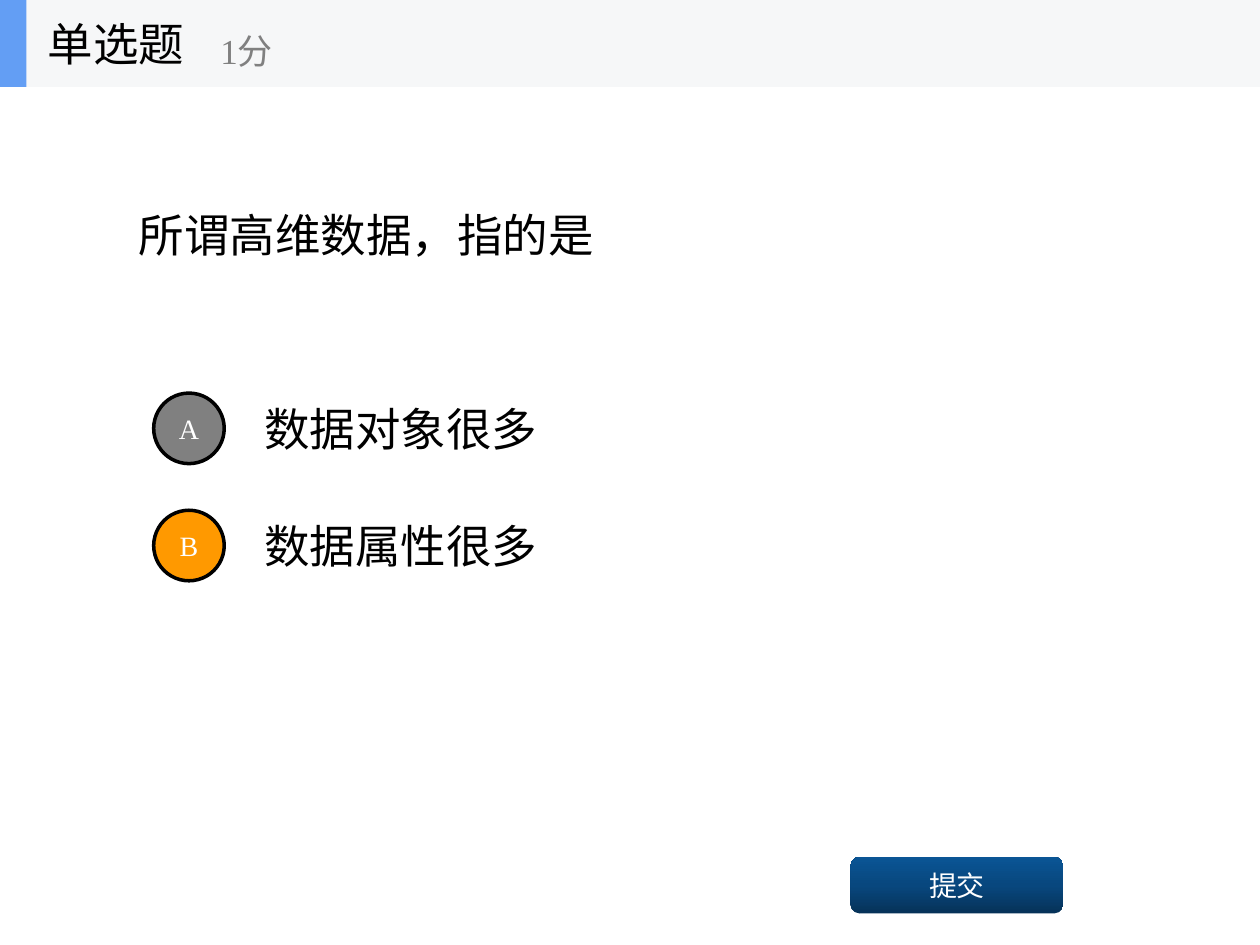
import copy

import pptx
import pptx.dml.color
import pptx.enum.lang
import pptx.enum.shapes
import pptx.enum.text
import pptx.oxml.ns
import pptx.util

Inches = pptx.util.Inches
Shape = pptx.enum.shapes.MSO_SHAPE
Align = pptx.enum.text.PP_ALIGN


def color(value):
    """Turn a hex string into an RGB colour."""
    return pptx.dml.color.RGBColor.from_string(value)


def write(shape, text, size=26, ink="000000", align=Align.LEFT, inset=0.1):
    """Put one formatted paragraph, centred vertically, into a shape."""
    frame = shape.text_frame
    frame.word_wrap = True
    frame.auto_size = pptx.enum.text.MSO_AUTO_SIZE.NONE
    frame.vertical_anchor = pptx.enum.text.MSO_ANCHOR.MIDDLE
    frame.margin_left = frame.margin_right = Inches(inset)
    para = frame.paragraphs[0]
    para.alignment = align
    span = para.add_run()
    span.text = text
    span.font.name = "Times New Roman"
    span.font.size = pptx.util.Pt(size)
    span.font.color.rgb = color(ink)
    span.font.language_id = pptx.enum.lang.MSO_LANGUAGE_ID.SIMPLIFIED_CHINESE


class Quiz:
    """Hold the quiz style and the current slide."""

    label = {"size": 16, "ink": "FFFFFF", "align": Align.CENTER, "inset": 0}

    def __init__(self, page):
        """Keep the slide to draw on."""
        self.page = page

    def question(self, text, *place):
        """Place the title and write the question in it."""
        title = self.page.shapes.title
        title.left, title.top, title.width, title.height = map(Inches, place)
        write(title, text)

    def text(self, text, *place, **style):
        """Add a text box."""
        box = self.page.shapes.add_textbox(*map(Inches, place))
        write(box, text, **style)

    def shape(self, kind, fill, *place):
        """Add a flat shape without an outline."""
        shape = self.page.shapes.add_shape(kind, *map(Inches, place))
        shape.shadow.inherit = False
        shape.fill.solid()
        shape.fill.fore_color.rgb = color(fill)
        shape.line.fill.background()
        return shape

    def option(self, letter, text, fill, top):
        """Add a lettered circle and its answer."""
        self.text(text, 2, top, 7, 0.7)
        circle = self.shape(Shape.OVAL, fill, 1.22, top + 0.07, 0.56, 0.56)
        circle.line.color.rgb = color("000000")
        circle.line.width = pptx.util.Pt(2)
        write(circle, letter, **self.label)

    def button(self, text, shades, *place):
        """Add a rounded button shaded evenly from bottom to top."""
        button = self.shape(Shape.ROUNDED_RECTANGLE, shades[0], *place)
        button.fill.gradient()
        button.fill.gradient_angle = 90
        stops = button._element.spPr.find(".//" + pptx.oxml.ns.qn("a:gsLst"))
        stops.append(copy.deepcopy(stops[-1]))
        for index, stop in enumerate(button.fill.gradient_stops):
            stop.position = index / (len(shades) - 1)
            stop.color.rgb = color(shades[index])
        write(button, text, **self.label)


def main():
    """Build the quiz slide and save it."""
    deck = pptx.Presentation()
    deck.slide_width, deck.slide_height = Inches(10), Inches(7.5)
    quiz = Quiz(deck.slides.add_slide(deck.slide_layouts[5]))
    quiz.question("所谓高维数据，指的是", 1, 0.69, 8, 2.34)
    options = [("A", "数据对象很多", "808080"), ("B", "数据属性很多", "FF9900")]
    for index, (letter, text, fill) in enumerate(options):
        quiz.option(letter, text, fill, 3.05 + 0.93 * index)
    quiz.button("提交", ["063258", "08477E", "0A5595"], 6.75, 6.8, 1.69, 0.45)
    quiz.shape(Shape.RECTANGLE, "F6F7F8", 0, 0, 10, 0.69)
    quiz.shape(Shape.RECTANGLE, "639EF4", 0, 0, 0.21, 0.69)
    quiz.text("单选题", 0.28, 0, 2.08, 0.69)
    quiz.text("1分", 1.65, 0.12, 2.5, 0.56, size=20, ink="808080")
    deck.save("out.pptx")


if __name__ == "__main__":
    main()
